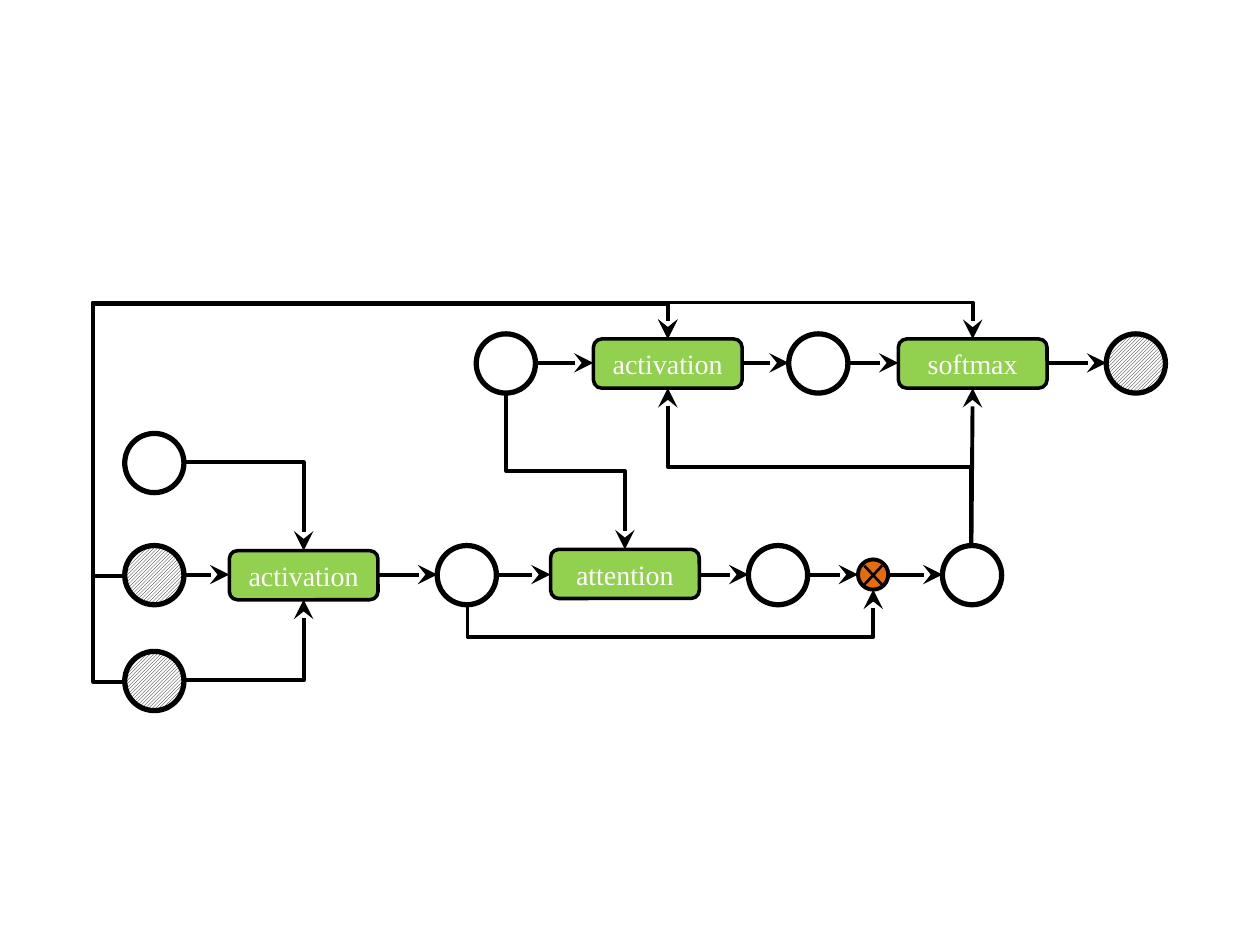
from lxml.etree import SubElement
from pptx import Presentation
from pptx.dml.color import RGBColor
from pptx.enum.dml import MSO_PATTERN
from pptx.enum.shapes import MSO_CONNECTOR, MSO_SHAPE
from pptx.enum.text import MSO_ANCHOR, PP_ALIGN
from pptx.oxml.ns import qn
from pptx.util import Inches, Pt

color = RGBColor.from_string
NODE, BOX_WIDTH, BOX_HEIGHT = 0.47, 1.18, 0.39

presentation = Presentation()
presentation.slide_width, presentation.slide_height = Inches(10), Inches(7.5)
slide = presentation.slides.add_slide(presentation.slide_layouts[6])


def add_outlined(kind, left, top, width, height, line_width):
    shape = slide.shapes.add_shape(
        kind, Inches(left), Inches(top), Inches(width), Inches(height))
    shape.shadow.inherit = False
    shape.fill.background()
    shape.line.color.rgb = color("000000")
    shape.line.width = Pt(line_width)
    return shape


def add_line(kind, start, end, width=2.25, arrow=True):
    line = slide.shapes.add_connector(kind, *map(Inches, start + end))
    line.line.color.rgb = color("000000")
    line.line.width = Pt(width)
    if arrow:
        SubElement(line.line._get_or_add_ln(), qn("a:tailEnd"),
                   type="stealth", w="lg", len="lg")
    SubElement(line._element.spPr, qn("a:effectLst"))
    return line


# Nodes: hatched circles are inputs and output, plain ones are hidden states
nodes = [
    (0.99, 3.44, False), (0.99, 4.33, True), (0.99, 5.17, True),
    (3.47, 4.33, False), (5.94, 4.33, False), (7.48, 4.33, False),
    (3.78, 2.65, False), (6.26, 2.65, False), (8.78, 2.65, True),
]
for left, top, hatched in nodes:
    node = add_outlined(MSO_SHAPE.OVAL, left, top, NODE, NODE, 3)
    if hatched:
        node.fill.patterned()
        node.fill.pattern = MSO_PATTERN.LIGHT_UPWARD_DIAGONAL
        node.fill.fore_color.rgb = color("000000")
        node.fill.back_color.rgb = color("FFFFFF")

# Operation boxes
boxes = [
    ("activation", 1.82, 4.37), ("attention", 4.37, 4.36),
    ("activation", 4.71, 2.69), ("softmax", 7.13, 2.69),
]
for label, left, top in boxes:
    box = add_outlined(MSO_SHAPE.ROUNDED_RECTANGLE, left, top, BOX_WIDTH, BOX_HEIGHT, 2)
    box.fill.solid()
    box.fill.fore_color.rgb = color("92D050")
    box.text_frame.vertical_anchor = MSO_ANCHOR.MIDDLE
    paragraph = box.text_frame.paragraphs[0]
    paragraph.text = label
    paragraph.alignment = PP_ALIGN.CENTER
    paragraph.font.name = "Times New Roman"
    paragraph.font.size = Pt(16)
    paragraph.font.color.rgb = color("FFFFFF")

# Multiplication node
product = add_outlined(MSO_SHAPE.OVAL, 6.81, 4.44, 0.24, 0.24, 2.25)
product.fill.solid()
product.fill.fore_color.rgb = color("E46C0A")
for start_y, end_y in [(4.49, 4.64), (4.64, 4.49)]:
    add_line(MSO_CONNECTOR.STRAIGHT, (6.86, start_y), (7, end_y), 1.5, arrow=False)

# Straight arrows along the two rows, then the one up to softmax
rows = {
    2.88: [(4.26, 4.71), (5.89, 6.26), (6.73, 7.13), (8.31, 8.78)],
    4.56: [(1.46, 1.82), (3, 3.47), (3.94, 4.37), (5.55, 5.94), (6.42, 6.81), (7.05, 7.48)],
}
for y, spans in rows.items():
    for start_x, end_x in spans:
        add_line(MSO_CONNECTOR.STRAIGHT, (start_x, y), (end_x, y))
add_line(MSO_CONNECTOR.STRAIGHT, (7.71, 4.33), (7.72, 3.08))

# Elbow arrows: left, top, width, height, rotation, flips, preset, adjustments
elbows = [
    (1.46, 3.67, 0.95, 0.7, 0, "", "bentConnector2", []),
    (1.46, 4.76, 0.95, 0.64, 0, "V", "bentConnector2", []),
    (3.87, 3.27, 1.24, 0.94, 270, "H", "bentConnector3", [0.5]),
    (5.26, 3.13, 0.12, 3.22, 90, "HV", "bentConnector3", [-2.117]),
    (5.88, 2.5, 1.25, 2.41, 270, "V", "bentConnector3", [0.5]),
    (0.99, 2.69, 6.73, 1.88, 180, "H", "bentConnector4", [-0.037, 1.154]),
    (0.99, 2.69, 4.31, 1.88, 180, "H", "bentConnector4", [-0.058, 1.147]),
    (0.99, 2.69, 4.31, 2.72, 180, "H", "bentConnector4", [-0.058, 1.106]),
]
for left, top, width, height, rotation, flips, preset, adjustments in elbows:
    elbow = add_line(MSO_CONNECTOR.ELBOW, (left, top), (left + width, top + height))
    properties = elbow._element.spPr
    frame = properties.find(qn("a:xfrm"))
    frame.set("rot", str(rotation * 60000))
    for flip in flips:
        frame.set("flip" + flip, "1")
    geometry = properties.find(qn("a:prstGeom"))
    geometry.set("prst", preset)
    guides = geometry.find(qn("a:avLst"))
    for number, value in enumerate(adjustments, 1):
        SubElement(guides, qn("a:gd"), name=f"adj{number}",
                   fmla=f"val {round(value * 100000)}")

presentation.save("out.pptx")
